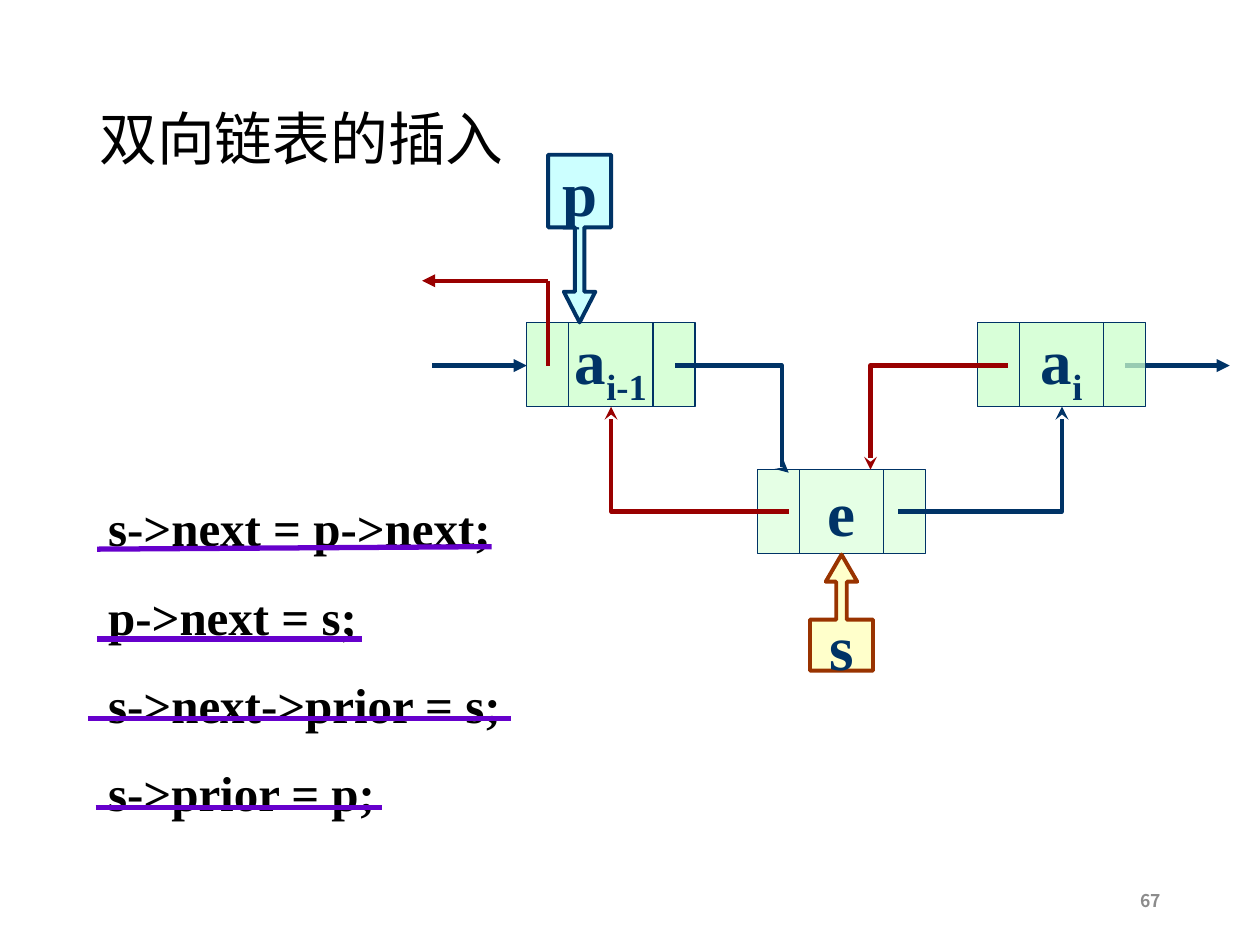
"""Builds a slide on inserting a node into a doubly linked list."""
import pptx
import pptx.util
import pptx.dml.color
import pptx.enum.shapes
import pptx.enum.text
import pptx.oxml
import pptx.oxml.ns

Cm = pptx.util.Cm
Pt = pptx.util.Pt
SHAPE = pptx.enum.shapes.MSO_SHAPE
CONNECTOR = pptx.enum.shapes.MSO_CONNECTOR
ALIGN = pptx.enum.text.PP_ALIGN
ANCHOR = pptx.enum.text.MSO_ANCHOR
qn = pptx.oxml.ns.qn

NAVY, RED, PURPLE, BLACK = "003366", "990000", "6600CC", "000000"
SANS, SERIF = "Noto Sans CJK SC", "Times New Roman"
NODE_WIDTH, NODE_HEIGHT = 3.39, 1.69

TITLE = "双向链表的插入"
PAGE_NUMBER = "67"
CODE = ["s->next = p->next;", "p->next = s;", "s->next->prior = s;", "s->prior = p;"]
UNDERLINES = [(1.96, 11.07, 9.91, 11.02), (1.96, 12.88, 7.29, 12.88),
              (1.78, 14.48, 10.31, 14.48), (1.93, 16.28, 7.7, 16.28)]
NODES = [("a", "i-1", 10.62, 6.5, 75), ("a", "i", 19.71, 6.5, 75), ("e", "", 15.27, 9.47, 50)]
CALLOUTS = [
    ("p", SHAPE.DOWN_ARROW_CALLOUT, (11.05, 3.12, 1.27, 3.38), (0.15, 0.25, 0.486, 0.433), "CCFFFF", 100, NAVY),
    ("s", SHAPE.UP_ARROW_CALLOUT, (16.33, 11.18, 1.27, 2.34), (0.167, 0.25, 0.431, 0.439), "FFFF99", 50, "993300"),
]
OUTER_ARROWS = [(8.71, 7.37, 10.62, 7.37), (22.68, 7.37, 24.79, 7.37)]
LINKS = [
    ((18.11, 10.31, 21.41, 8.2), NAVY, None),
    ((13.61, 7.37, 15.9, 9.53), NAVY, 93900),
    ((20.32, 7.37, 17.55, 9.47), RED, None),
    ((15.9, 10.31, 12.32, 8.2), RED, None),
]


def rgb(value):
    return pptx.dml.color.RGBColor.from_string(value)


def style_font(font, size, name, color, bold):
    font.size, font.name, font.bold = Pt(size), name, bold
    font.color.rgb = rgb(color)


def add_line(points, color, width, head=None, kind=CONNECTOR.STRAIGHT):
    line = page.shapes.add_connector(kind, *map(Cm, points))
    line.line.color.rgb = rgb(color)
    line.line.width = Pt(width)
    properties = line._element.spPr
    if head:
        pptx.oxml.ns
        tail = properties.find(qn("a:ln")).makeelement(qn("a:tailEnd"), {"type": head})
        properties.find(qn("a:ln")).append(tail)
    properties.append(properties.makeelement(qn("a:effectLst"), {}))
    return line


def add_link(points, color, bend):
    link = add_line(points, color, 2.5, "stealth", CONNECTOR.ELBOW)
    geometry = link._element.spPr.find(qn("a:prstGeom"))
    if bend is None:
        geometry.set("prst", "bentConnector2")
    else:
        guides = geometry.find(qn("a:avLst"))
        guides.append(guides.makeelement(qn("a:gd"), {"name": "adj1", "fmla": f"val {bend}"}))


def add_labelled(kind, frame, fill, opacity, line, width, label, subscript=""):
    shape = page.shapes.add_shape(kind, *map(Cm, frame))
    shape.shadow.inherit = False
    shape.fill.solid()
    shape.fill.fore_color.rgb = rgb(fill)
    if opacity < 100:
        color = shape._element.spPr.find(qn("a:solidFill"))[0]
        color.append(color.makeelement(qn("a:alpha"), {"val": str(opacity * 1000)}))
    shape.line.color.rgb = rgb(line)
    shape.line.width = Pt(width)
    shape.text_frame.word_wrap = False
    shape.text_frame.vertical_anchor = ANCHOR.MIDDLE
    para = shape.text_frame.paragraphs[0]
    para.alignment = ALIGN.CENTER
    style_font(para.font, 36, SERIF, NAVY, True)
    para.add_run().text = label
    if subscript:
        span = para.add_run()
        span.text = subscript
        span.font._element.set("baseline", "-25000")
    return shape


def add_node(label, subscript, left, top, opacity):
    add_labelled(SHAPE.RECTANGLE, (left, top, NODE_WIDTH, NODE_HEIGHT), "CCFFCC", opacity,
                 NAVY, 0.75, label, subscript)
    for share in (0.25, 0.75):
        x = left + share * NODE_WIDTH
        add_line((x, top, x, top + NODE_HEIGHT), NAVY, 0.75)


def place(box, frame):
    box.left, box.top, box.width, box.height = map(Cm, frame)


deck = pptx.Presentation()
deck.slide_width, deck.slide_height = Cm(25.4), Cm(19.05)
page = deck.slides.add_slide(deck.slide_layouts[5])

title = page.shapes.title
place(title, (1.75, 1.02, 21.89, 3.68))
title.text_frame.text = TITLE
title.text_frame.vertical_anchor = ANCHOR.MIDDLE
para = title.text_frame.paragraphs[0]
para.alignment, para.line_spacing = ALIGN.LEFT, 0.9
style_font(para.font, 33, SANS, BLACK, False)
run_properties = para.runs[0].font._element
run_properties.append(run_properties.makeelement(qn("a:ea"), {"typeface": SANS}))

number = page.shapes.add_textbox(*map(Cm, (17.93, 17.65, 5.72, 1.02)))
number.text_frame.text = PAGE_NUMBER
number.text_frame.word_wrap = True
number.text_frame.vertical_anchor = ANCHOR.MIDDLE
number.text_frame.paragraphs[0].alignment = ALIGN.RIGHT
style_font(number.text_frame.paragraphs[0].font, 10, SANS, "8C8C8C", True)

code = page.shapes.add_textbox(*map(Cm, (1.93, 9.32, 9.53, 7.44)))
code.text_frame.text = "\n".join(CODE)
code.text_frame.word_wrap = True
for para in code.text_frame.paragraphs:
    para.line_spacing = 1.5
    style_font(para.font, 28, SERIF, BLACK, True)
for points in UNDERLINES:
    add_line(points, PURPLE, 3)

for points in OUTER_ARROWS:
    add_line(points, NAVY, 2.5, "triangle")
for node in NODES:
    add_node(*node)
for label, kind, frame, adjustments, fill, opacity, line in CALLOUTS:
    callout = add_labelled(kind, frame, fill, opacity, line, 2.25, label)
    for index, value in enumerate(adjustments):
        callout.adjustments[index] = value
for link in LINKS:
    add_link(*link)
add_line((11.05, 7.37, 11.05, 5.66), RED, 2.5)
add_line((11.05, 5.66, 8.51, 5.66), RED, 2.5, "triangle")

deck.save("out.pptx")
